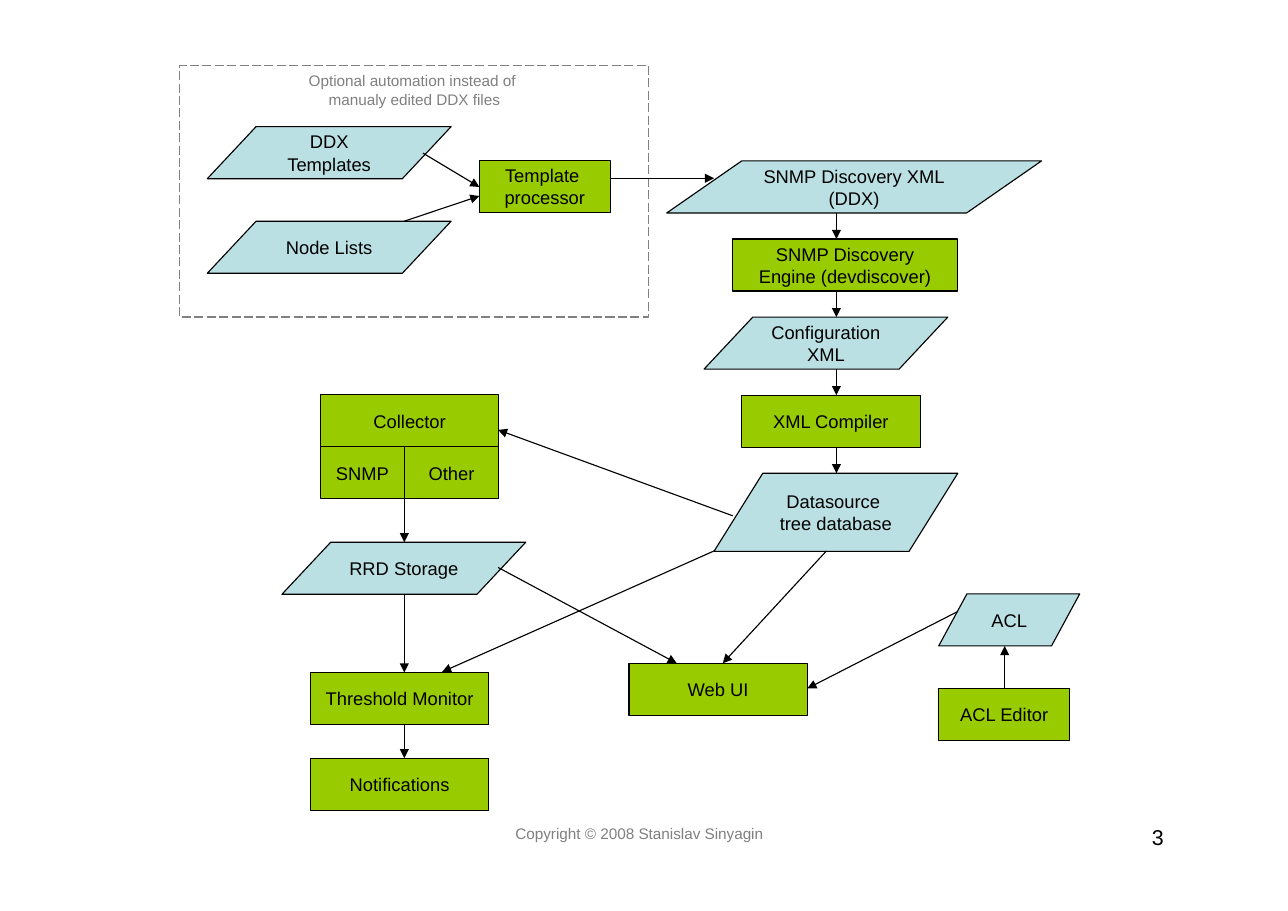
from lxml.etree import SubElement
from pptx import Presentation
from pptx.dml.color import RGBColor
from pptx.enum.dml import MSO_LINE_DASH_STYLE as Dash
from pptx.enum.shapes import MSO_CONNECTOR as Connector, MSO_SHAPE as Shape
from pptx.enum.text import MSO_ANCHOR as Anchor, PP_ALIGN as Align
from pptx.oxml.ns import qn
from pptx.util import Cm, Pt

BLACK, GREY = "000000", "808080"
DATA_BLUE, PROCESS_GREEN = "BBE0E3", "99CC00"
ROW = 1.2
STEP = 1.8
DATA_WIDTH, PROCESS_WIDTH, SMALL_WIDTH = 5.62, 4.11, 3.02


def colour(hex_string):
    return RGBColor.from_string(hex_string)


def write(frame, text, size, text_colour, align=Align.CENTER, anchor=Anchor.TOP):
    frame.word_wrap = True
    frame.vertical_anchor = anchor
    frame.text = text
    for paragraph in frame.paragraphs:
        paragraph.alignment = align
        paragraph.font.name = "Arial"
        paragraph.font.size = Pt(size)
        paragraph.font.color.rgb = colour(text_colour)


def add_outlined(slide, kind, box, line_colour):
    shape = slide.shapes.add_shape(kind, *map(Cm, box))
    shape.shadow.inherit = False
    shape.line.color.rgb = colour(line_colour)
    shape.line.width = Pt(0.75)
    return shape


def add_node(slide, kind, fill, text, box):
    node = add_outlined(slide, kind, box, BLACK)
    node.fill.solid()
    node.fill.fore_color.rgb = colour(fill)
    write(node.text_frame, text, 12, BLACK, anchor=Anchor.MIDDLE)


def add_data(slide, text, left, top, width=DATA_WIDTH, height=ROW):
    add_node(slide, Shape.FLOWCHART_DATA, DATA_BLUE, text, (left, top, width, height))


def add_process(slide, text, left, top, width=PROCESS_WIDTH):
    add_node(slide, Shape.FLOWCHART_PROCESS, PROCESS_GREEN, text, (left, top, width, ROW))


def add_arrow(slide, x1, y1, x2, y2):
    arrow = slide.shapes.add_connector(Connector.STRAIGHT, *map(Cm, (x1, y1, x2, y2)))
    arrow.line.color.rgb = colour(BLACK)
    arrow.line.width = Pt(0.75)
    SubElement(arrow.line._get_or_add_ln(), qn("a:tailEnd"), type="triangle")
    SubElement(arrow._element.spPr, qn("a:effectLst"))


def add_discovery(slide, left, top):
    """Column from the discovery XML down to the datasource tree."""
    stages = [
        (add_data, "SNMP Discovery XML\n(DDX)", 0, 8.64),
        (add_process, "SNMP Discovery\nEngine (devdiscover)", 1.52, 5.18),
        (add_data, "Configuration XML", 0.86, DATA_WIDTH),
        (add_process, "XML Compiler", 1.73, PROCESS_WIDTH),
    ]
    for row, (add_stage, text, indent, width) in enumerate(stages):
        stage_top = top + row * STEP
        add_stage(slide, text, left + indent, stage_top, width)
        add_arrow(slide, left + 3.91, stage_top + ROW, left + 3.91, stage_top + STEP)
    add_data(slide, "Datasource \ntree database", left + 1.09,
             top + len(stages) * STEP, height=1.8)


def add_automation(slide, left, top, width, height):
    """Dashed frame with the optional template processing."""
    frame = add_outlined(slide, Shape.RECTANGLE, (left, top, width, height), GREY)
    frame.fill.background()
    frame.line.dash_style = Dash.LONG_DASH
    write(frame.text_frame, "Optional automation instead of \nmanualy edited DDX files", 10, GREY)

    add_data(slide, "DDX Templates", left + 0.64, top + 1.4)
    add_data(slide, "Node Lists", left + 0.64, top + 3.58)
    add_process(slide, "Template \nprocessor", left + 6.91, top + 2.18, SMALL_WIDTH)
    for x1, y1, x2, y2 in [(5.61, 2.01, 6.91, 2.79), (5.18, 3.58, 6.91, 3),
                           (9.93, 2.59, 12.32, 2.59)]:
        add_arrow(slide, left + x1, top + y1, left + x2, top + y2)


def add_monitoring(slide, left, top):
    """Collector, storage, threshold monitor and notifications."""
    axis = left + 2.82
    collector_left = left + 0.89
    add_process(slide, "Collector", collector_left, top)
    add_process(slide, "SNMP", collector_left, top + ROW, axis - collector_left)
    add_process(slide, "Other", axis, top + ROW, collector_left + PROCESS_WIDTH - axis)
    add_data(slide, "RRD Storage", left, top + 3.4)
    add_process(slide, "Threshold Monitor", left + 0.66, top + 6.4)
    add_process(slide, "Notifications", left + 0.66, top + 8.38)
    for start, end in [(2.4, 3.4), (4.6, 6.4), (7.6, 8.38)]:
        add_arrow(slide, axis, top + start, axis, top + end)


def add_web_access(slide, left, top):
    """Web interface with its access control list."""
    acl_left = left + 7.14
    add_process(slide, "Web UI", left, top + 1.6)
    add_data(slide, "ACL", acl_left, top, 3.25)
    add_process(slide, "ACL Editor", acl_left, top + 2.18, SMALL_WIDTH)
    add_arrow(slide, left + 8.66, top + 2.18, left + 8.66, top + ROW)
    add_arrow(slide, left + 7.57, top + 0.41, left + PROCESS_WIDTH, top + 2.18)


def add_region_links(slide):
    for link in [
        (16.89, 11.89, 11.48, 9.91),   # datasource tree to collector
        (11.48, 13.08, 15.6, 15.29),   # storage to web interface
        (19.05, 12.7, 16.66, 15.29),   # datasource tree to web interface
        (16.46, 12.7, 10.19, 15.49),   # datasource tree to threshold monitor
    ]:
        add_arrow(slide, *link)


def add_footer(slide, left, top):
    copyright_box = slide.shapes.add_textbox(*map(Cm, (left, top, 8.69, 0.74)))
    write(copyright_box.text_frame, "Copyright © 2008 Stanislav Sinyagin", 10, GREY)
    page_number = slide.shapes.add_textbox(*map(Cm, (left + 10.29, top, 6.4, 0.86)))
    write(page_number.text_frame, "3", 14, BLACK, Align.RIGHT)


def main():
    deck = Presentation()
    deck.slide_width, deck.slide_height = Cm(29.69), Cm(21)
    slide = deck.slides.add_slide(deck.slide_layouts[6])
    add_discovery(slide, 15.37, 3.71)
    add_automation(slide, 4.14, 1.52, 10.82, 5.79)
    add_monitoring(slide, 6.5, 9.1)
    add_web_access(slide, 14.5, 13.69)
    add_region_links(slide)
    add_footer(slide, 10.39, 18.87)
    deck.save("out.pptx")


if __name__ == "__main__":
    main()
